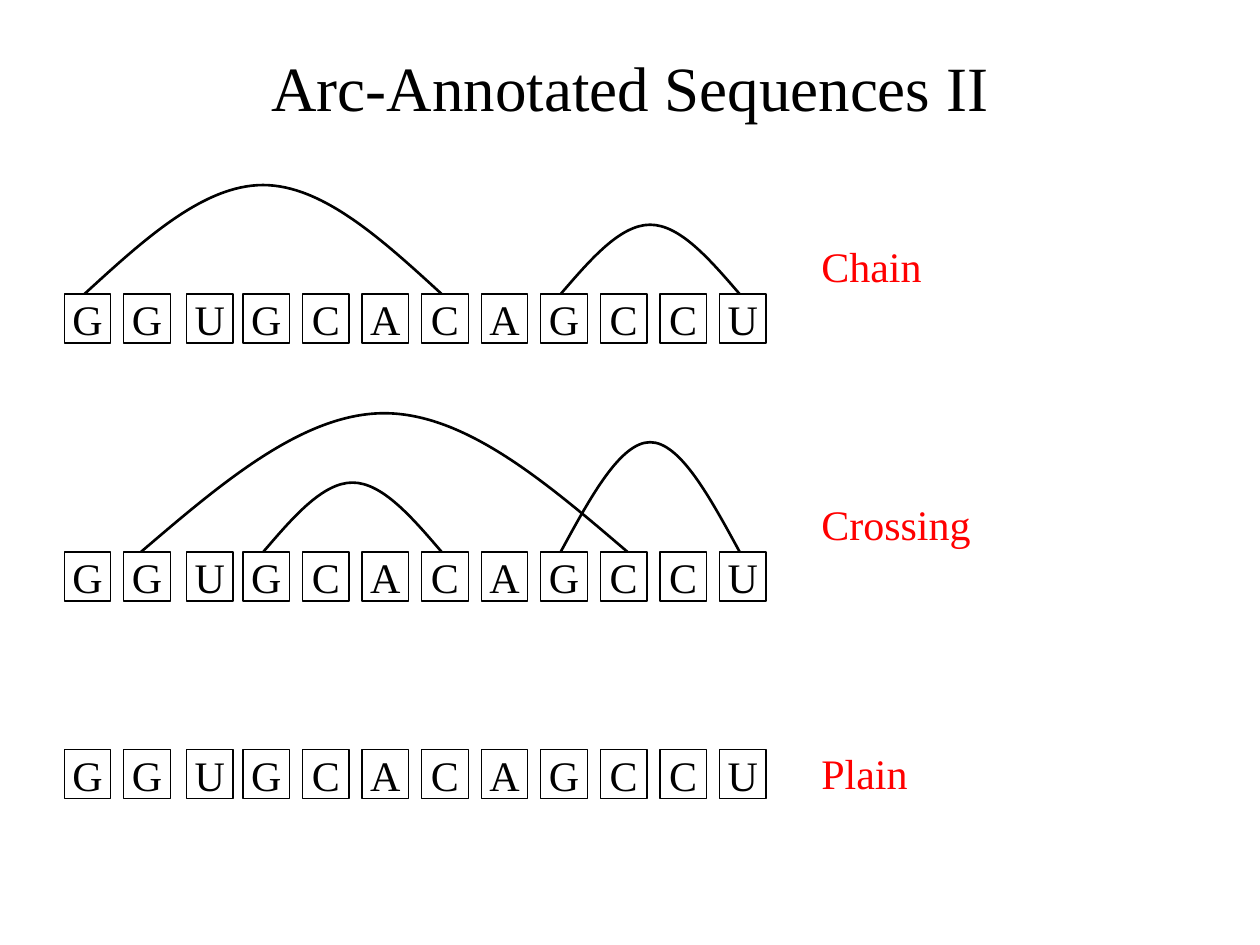
from dataclasses import dataclass

from pptx import Presentation
from pptx.dml.color import RGBColor
from pptx.enum import shapes, text
from pptx.oxml import ns, xmlchemy
from pptx.util import Pt

BLACK = RGBColor(0, 0, 0)
WHITE = RGBColor(255, 255, 255)
RED = RGBColor(255, 0, 0)
FONT = "Times New Roman"

BASES = "GGUGCACAGCCU"
LEFT, PITCH = 36.72, 34.04
BOX_W, BOX_H = 26.64, 28.08
NUDGES = {2: 1.8}
LABEL_LEFT, LABEL_H = 462.24, 36


@dataclass(frozen=True)
class Arc:
    start: float
    end: float
    height: float


@dataclass(frozen=True)
class Sequence:
    label: str
    top: float
    label_top: float
    label_width: float
    arcs: tuple[Arc, ...] = ()


SEQUENCES = (
    Sequence("Crossing", 315.36, 281.52, 108, (
        Arc(150.48, 252.36, 39.6),
        Arc(80.64, 358.56, 79.2),
        Arc(320.4, 422.64, 62.64),
    )),
    Sequence("Chain", 168, 133.92, 84.96, (
        Arc(48.24, 252.36, 62.28),
        Arc(320.4, 422.64, 39.6),
    )),
    Sequence("Plain", 428.4, 423.36, 108),
)


def write(s, content: str, *, size: float = 24, color: RGBColor = BLACK,
          align=text.PP_ALIGN.CENTER, anchor=text.MSO_ANCHOR.MIDDLE,
          wrap: bool = True) -> None:
    tf = s.text_frame
    tf.word_wrap = wrap
    tf.vertical_anchor = anchor
    p = tf.paragraphs[0]
    p.alignment = align
    r = p.add_run()
    r.text = content
    r.font.name = FONT
    r.font.size = Pt(size)
    r.font.color.rgb = color


def add_base(group, base: str, left: float, top: float) -> None:
    s = group.shapes.add_shape(shapes.MSO_SHAPE.RECTANGLE, Pt(left), Pt(top), Pt(BOX_W), Pt(BOX_H))
    s.shadow.inherit = False
    s.fill.solid()
    s.fill.fore_color.rgb = WHITE
    s.line.color.rgb = BLACK
    s.line.width = Pt(0.75)
    write(s, base, wrap=False)


def curve_segments(s) -> None:
    path = s._element.find(".//" + ns.qn("a:path"))
    lines = path.findall(ns.qn("a:lnTo"))
    for i in range(0, len(lines), 3):
        curve = xmlchemy.OxmlElement("a:cubicBezTo")
        for line in lines[i:i + 3]:
            curve.append(line[0])
            path.remove(line)
        path.append(curve)


def add_arc(group, arc: Arc, base: float) -> None:
    step = (arc.end - arc.start) / 6
    rises = (0, 0.5, 1, 1, 1, 0.5, 0)
    points = [(Pt(arc.start + i * step), Pt(base - rise * arc.height))
              for i, rise in enumerate(rises)]
    builder = group.shapes.build_freeform(*points[0])
    builder.add_line_segments(points[1:], close=False)
    s = builder.convert_to_shape()
    curve_segments(s)
    s.shadow.inherit = False
    s.fill.background()
    s.line.color.rgb = BLACK
    s.line.width = Pt(1.5)


def add_sequence(slide, seq: Sequence) -> None:
    group = slide.shapes.add_group_shape()
    for i, base in enumerate(BASES):
        add_base(group, base, LEFT + i * PITCH + NUDGES.get(i, 0), seq.top)
    for arc in seq.arcs:
        add_arc(group, arc, seq.top)
    s = group.shapes.add_textbox(Pt(LABEL_LEFT), Pt(seq.label_top), Pt(seq.label_width), Pt(LABEL_H))
    write(s, seq.label, color=RED, align=text.PP_ALIGN.LEFT, anchor=text.MSO_ANCHOR.TOP)


def main() -> None:
    prs = Presentation()
    prs.slide_width, prs.slide_height = Pt(720), Pt(540)
    slide = prs.slides.add_slide(prs.slide_layouts[5])
    title = slide.shapes.title
    title.left, title.top, title.width, title.height = Pt(36), Pt(21.6), Pt(648), Pt(55.44)
    write(title, "Arc-Annotated Sequences II", size=36)
    for seq in SEQUENCES:
        add_sequence(slide, seq)
    prs.save("out.pptx")


if __name__ == "__main__":
    main()
